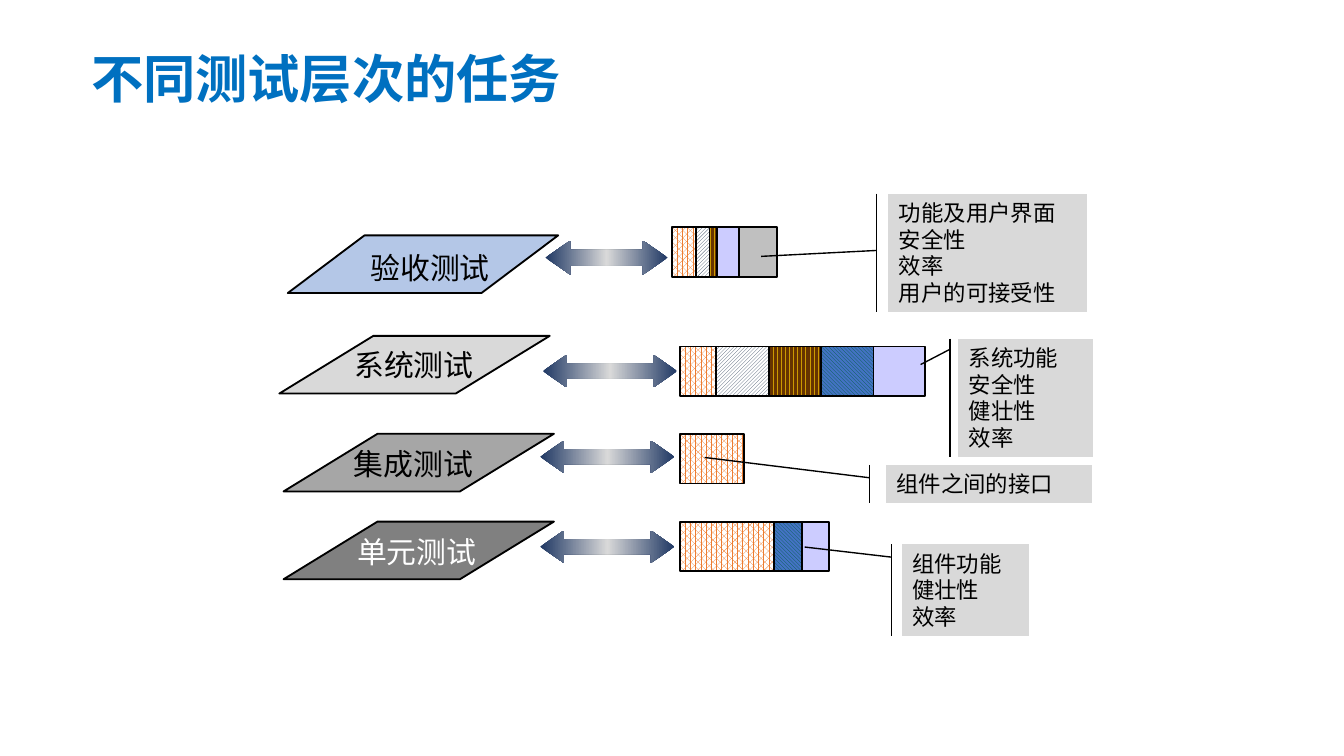
"""Build a slide matching each software test level to its tasks."""
from copy import deepcopy
from typing import NamedTuple

from lxml import etree
from pptx import Presentation
from pptx import util as u
from pptx.dml.color import RGBColor
from pptx.enum import dml, shapes, text
from pptx.oxml import ns

FONT = "Noto Sans CJK SC"
BLACK = "000000"


class Box(NamedTuple):
    left: float
    top: float
    width: float
    height: float


class Task(NamedTuple):
    fore: str
    back: str = ""
    pattern: dml.MSO_PATTERN | None = None


class Level(NamedTuple):
    name: str
    plate: Box
    slant: float
    plate_color: str
    name_box: Box
    name_color: str
    arrow: Box
    bar_left: float
    bar_top: float
    shares: list[tuple[Task, float]]
    note: Box
    pointer: tuple[float, ...]
    tasks: list[str]


INTERFACE = Task("ED7D31", "FFFFFF", dml.MSO_PATTERN.PERCENT_75)
SECURITY = Task("44546A", "FFFFFF", dml.MSO_PATTERN.DARK_UPWARD_DIAGONAL)
USABILITY = Task("663300", "CC9900", dml.MSO_PATTERN.DARK_VERTICAL)
ROBUSTNESS = Task("006040", "4472C4", dml.MSO_PATTERN.DARK_DOWNWARD_DIAGONAL)
EFFICIENCY = Task("CCCCFF")
ACCEPTANCE = Task("C0C0C0")

LEVELS = [
    Level("验收测试", Box(5.44, 4.45, 5.11, 1.09), 1.33, "B4C7E7",
          Box(6.68, 4.62, 2.9, 0.89), BLACK, Box(10.31, 4.55, 2.31, 0.64), 12.7, 4.29,
          [(INTERFACE, 0.46), (SECURITY, 0.25), (USABILITY, 0.15),
           (EFFICIENCY, 0.41), (ACCEPTANCE, 0.71)],
          Box(16.79, 3.66, 3.76, 2.24), (0.48, -0.06, 0.53, -0.64),
          ["功能及用户界面", "安全性", "效率", "用户的可接受性"]),
    Level("系统测试", Box(5.28, 6.35, 5.11, 1.09), 1.63, "D9D9D9",
          Box(6.02, 6.45, 3.61, 0.89), BLACK, Box(10.26, 6.71, 2.54, 0.61), 12.85, 6.55,
          [(INTERFACE, 0.69), (SECURITY, 0.99), (USABILITY, 0.99),
           (ROBUSTNESS, 0.99), (EFFICIENCY, 0.97)],
          Box(18.11, 6.4, 2.54, 2.24), (0.09, -0.06, 0.22, -0.28),
          ["系统功能", "安全性", "健壮性", "效率"]),
    Level("集成测试", Box(5.36, 8.2, 5.11, 1.09), 1.63, "A6A6A6",
          Box(6.48, 8.33, 2.67, 0.89), BLACK, Box(10.21, 8.33, 2.54, 0.61), 12.85, 8.2,
          [(INTERFACE, 1.22)],
          Box(16.74, 8.79, 3.89, 0.71), (0.34, -0.08, -0.2, -0.88),
          ["组件之间的接口"]),
    Level("单元测试", Box(5.36, 9.86, 5.11, 1.09), 1.63, "808080",
          Box(6.48, 9.98, 2.79, 0.89), "FFFFFF", Box(10.21, 10.03, 2.54, 0.61), 12.85, 9.86,
          [(INTERFACE, 1.78), (ROBUSTNESS, 0.53), (EFFICIENCY, 0.51)],
          Box(17.04, 10.29, 2.41, 1.73), (0.14, -0.08, 0.03, -0.76),
          ["组件功能", "健壮性", "效率"]),
]


def paint(color_format, value: str) -> None:
    """Apply a hex colour."""
    color_format.rgb = RGBColor.from_string(value)


def lengths(box: Box) -> list[u.Cm]:
    """Convert a box to slide lengths."""
    return [u.Cm(value) for value in box]


def add_figure(slide, kind: shapes.MSO_SHAPE, box: Box, task: Task,
               line_width: float = 1, adjustments: tuple[float, ...] = ()):
    """Draw an outlined preset shape with a solid or patterned fill."""
    figure = slide.shapes.add_shape(kind, *lengths(box))
    figure.shadow.inherit = False
    for index, value in enumerate(adjustments):
        figure.adjustments[index] = value
    if task.pattern is None:
        figure.fill.solid()
    else:
        figure.fill.patterned()
        figure.fill.pattern = task.pattern
        paint(figure.fill.back_color, task.back)
    paint(figure.fill.fore_color, task.fore)
    paint(figure.line.color, BLACK)
    figure.line.width = u.Pt(line_width)
    return figure


def write(frame, lines: list[str], size: float, color: str,
          align: text.PP_ALIGN, bold: bool = False) -> None:
    """Write lines as runs of one paragraph."""
    paragraph = frame.paragraphs[0]
    paragraph.alignment = align
    for index, line in enumerate(lines):
        if index:
            paragraph.add_line_break()
        run = paragraph.add_run()
        run.text = line
        run.font.size = u.Pt(size)
        run.font.bold = bold
        run.font.name = FONT
        paint(run.font.color, color)
        etree.SubElement(run.font._element, ns.qn("a:ea"), typeface=FONT)


def fit(frame) -> None:
    """Set tight margins and wrapping on a text frame."""
    frame.margin_left = frame.margin_right = u.Cm(0.2)
    frame.margin_top = frame.margin_bottom = u.Cm(0.1)
    frame.vertical_anchor = text.MSO_ANCHOR.TOP
    frame.word_wrap = True
    frame.auto_size = text.MSO_AUTO_SIZE.SHAPE_TO_FIT_TEXT


def add_arrow(slide, box: Box) -> None:
    """Draw a double arrow that is light in the middle."""
    arrow = slide.shapes.add_shape(shapes.MSO_SHAPE.LEFT_RIGHT_ARROW, *lengths(box))
    arrow.shadow.inherit = False
    arrow.adjustments[0], arrow.adjustments[1] = 0.46, 0.73
    arrow.line.fill.background()
    arrow.fill.gradient()
    arrow.fill.gradient_angle = 0
    stops = arrow._element.spPr.find(".//" + ns.qn("a:gsLst"))
    stops.insert(1, deepcopy(stops[0]))
    colors = ("203864", "D9D9D9", "203864")
    for stop, color, position in zip(arrow.fill.gradient_stops, colors, (0, 0.5, 1)):
        paint(stop.color, color)
        stop.position = position


def add_bar(slide, level: Level) -> None:
    """Draw the task shares of a level side by side."""
    left = level.bar_left
    for task, width in level.shares:
        add_figure(slide, shapes.MSO_SHAPE.RECTANGLE,
                   Box(left, level.bar_top, width, 0.94), task)
        left += width


def add_level(slide, level: Level) -> None:
    """Draw one test level with its arrow, bar and task note."""
    add_bar(slide, level)
    note = add_figure(slide, shapes.MSO_SHAPE.LINE_CALLOUT_1_ACCENT_BAR, level.note,
                      Task("D9D9D9"), 0.75, level.pointer)
    fit(note.text_frame)
    write(note.text_frame, level.tasks, 12, BLACK, text.PP_ALIGN.LEFT)
    add_figure(slide, shapes.MSO_SHAPE.PARALLELOGRAM, level.plate,
               Task(level.plate_color), adjustments=(level.slant,))
    name = slide.shapes.add_textbox(*lengths(level.name_box)).text_frame
    fit(name)
    write(name, [level.name], 16, level.name_color, text.PP_ALIGN.CENTER)
    add_arrow(slide, level.arrow)


def main() -> None:
    """Build and save the slide."""
    deck = Presentation()
    deck.slide_width, deck.slide_height = u.Cm(25.4), u.Cm(14.29)
    slide = deck.slides.add_slide(deck.slide_layouts[5])
    title = slide.shapes.title
    title.left, title.top, title.width, title.height = lengths(Box(1.47, 1.04, 17.78, 1.02))
    title.text_frame.vertical_anchor = text.MSO_ANCHOR.MIDDLE
    title.text_frame.paragraphs[0].line_spacing = 0.9
    write(title.text_frame, ["不同测试层次的任务"], 28, "0070C0", text.PP_ALIGN.LEFT, bold=True)
    for level in LEVELS:
        add_level(slide, level)
    deck.save("out.pptx")


if __name__ == "__main__":
    main()
